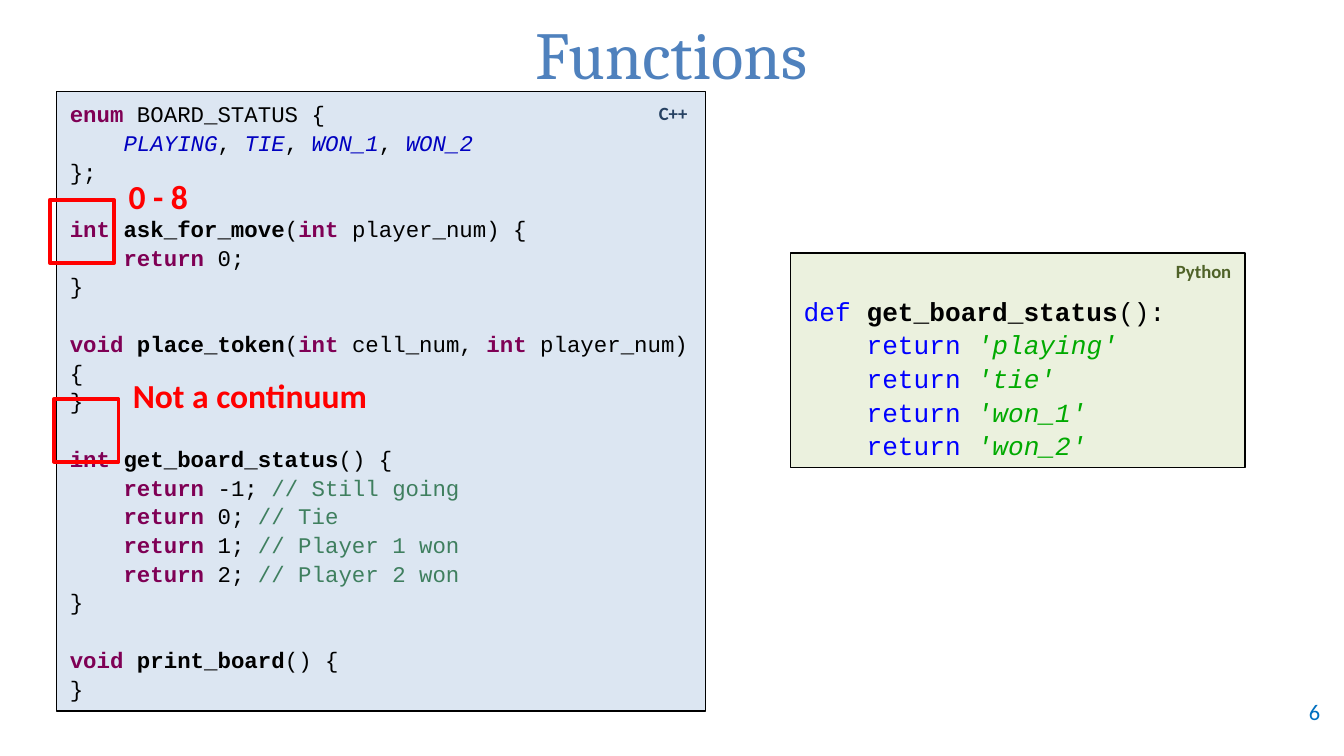
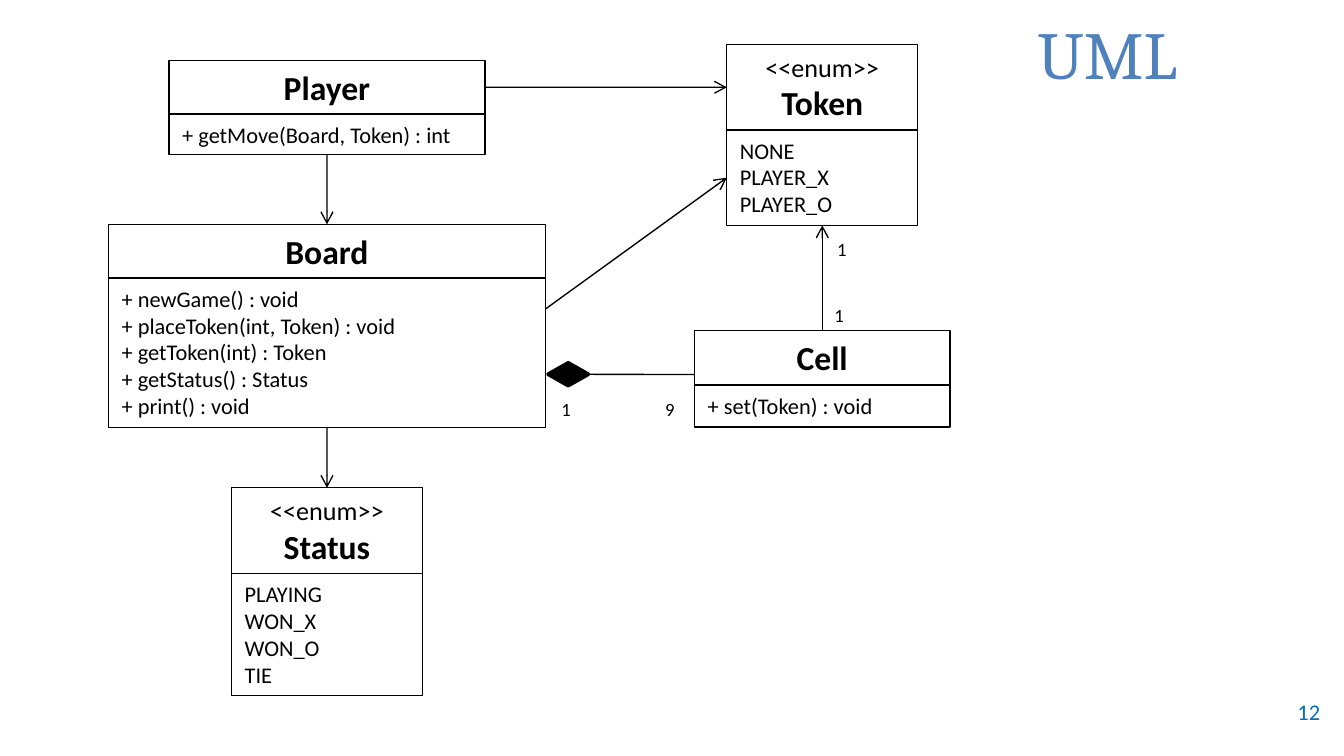
import pptx
import pptx.util
import pptx.dml.color
import pptx.enum.shapes
import pptx.enum.text
import pptx.oxml
import pptx.oxml.ns
from pptx.util import Cm

SHAPE = pptx.enum.shapes.MSO_SHAPE
ALIGN = pptx.enum.text.PP_ALIGN
ANCHOR = pptx.enum.text.MSO_ANCHOR
TOP, LEFT, BOTTOM, RIGHT = range(4)

COLORS = {
    "title": "4F81BD", "number": "0070C0", "black": "000000", "red": "FF0000",
    "cpp_fill": "DCE6F2", "cpp_tag": "254061",
    "python_fill": "EBF1DE", "python_tag": "4F6228",
    "keyword": "7F0055", "constant": "0000C0", "comment": "3F7F5F",
    "py_keyword": "0000FF", "string": "00AA00",
}

STYLES = {
    "plain": ("black", False, False),
    "name": ("black", True, False),
    "keyword": ("keyword", True, False),
    "constant": ("constant", False, True),
    "comment": ("comment", False, False),
    "py_keyword": ("py_keyword", False, False),
    "string": ("string", False, True),
}


def rgb(name):
    return pptx.dml.color.RGBColor.from_string(COLORS[name])


def set_font(font, size, color, bold=False, name="Calibri"):
    font.name = name
    font.size = pptx.util.Pt(size)
    font.bold = bold
    font.color.rgb = rgb(color)


def add_label(s, box, text, size, color, bold=False, align=ALIGN.LEFT):
    tf = s.shapes.add_textbox(*map(Cm, box)).text_frame
    tf.word_wrap = True
    p = tf.paragraphs[0]
    p.text = text
    p.alignment = align
    set_font(p.font, size, color, bold)
    return tf


def add_box(s, box, fill=None, line="black", width=0.75, kind=SHAPE.RECTANGLE):
    sp = s.shapes.add_shape(kind, *map(Cm, box))
    sp.shadow.inherit = False
    if fill:
        sp.fill.solid()
        sp.fill.fore_color.rgb = rgb(fill)
    else:
        sp.fill.background()
    sp.line.color.rgb = rgb(line)
    sp.line.width = pptx.util.Pt(width)
    sp.text_frame.word_wrap = True
    sp.text_frame.vertical_anchor = ANCHOR.TOP
    return sp


def add_slide(prs, title, box, number):
    s = prs.slides.add_slide(prs.slide_layouts[5])
    sp = s.shapes.title
    sp.left, sp.top, sp.width, sp.height = map(Cm, box)
    sp.text_frame.text = title
    sp.text_frame.vertical_anchor = ANCHOR.MIDDLE
    p = sp.text_frame.paragraphs[0]
    p.alignment = ALIGN.CENTER
    set_font(p.font, 36, "title", name="Cambria")
    tf = add_label(s, (23.5, 13.08, 1.7, 0.76), number, 12, "number", align=ALIGN.RIGHT)
    tf.vertical_anchor = ANCHOR.MIDDLE
    return s


def add_code(s, box, blocks, size, pitch, fill, inset=0.13):
    tf = add_box(s, box, fill).text_frame
    tf.margin_top = Cm(inset)
    p = None
    for block in blocks:
        for i, line in enumerate(block):
            first = p is None
            p = tf.paragraphs[0] if first else tf.add_paragraph()
            p.alignment = ALIGN.LEFT
            p.line_spacing = pptx.util.Pt(pitch)
            if i == 0 and not first:
                p.space_before = pptx.util.Pt(pitch)
            p.font.name = "Courier New"
            p.font.size = pptx.util.Pt(size)
            for style, text in line:
                color, bold, italic = STYLES[style]
                r = p.add_run()
                r.text = text
                r.font.bold = bold
                r.font.italic = italic
                r.font.color.rgb = rgb(color)


def add_callout(s, x, y, text, width):
    add_box(s, (x, y, 1.22, 1.19), line="red", width=2)
    add_label(s, (x + 1.24, y - 0.57, width, 1.02), text, 18, "red", True)


def statement(value, remark):
    return [("plain", "    "), ("keyword", "return"),
            ("plain", f" {value}; "), ("comment", f"// {remark}")]


def signature(kind, name, *rest):
    return [("keyword", kind + " "), ("name", name), *rest]


def cpp_panel(s, x, y, w, h):
    constants = [("plain", "    ")]
    for i, name in enumerate(["PLAYING", "TIE", "WON_1", "WON_2"]):
        if i:
            constants.append(("plain", ", "))
        constants.append(("constant", name))
    close = [("plain", "}")]
    int_type = ("keyword", "int ")
    player = ("plain", "player_num) {")
    outcomes = [(-1, "Still going"), (0, "Tie"), (1, "Player 1 won"), (2, "Player 2 won")]
    blocks = [
        [[("keyword", "enum"), ("plain", " BOARD_STATUS {")], constants, [("plain", "};")]],
        [signature("int", "ask_for_move", ("plain", "("), int_type, player),
         [("plain", "    "), ("keyword", "return"), ("plain", " 0;")], close],
        [signature("void", "place_token", ("plain", "("), int_type,
                   ("plain", "cell_num, "), int_type, player), close],
        [signature("int", "get_board_status", ("plain", "() {")),
         *[statement(*outcome) for outcome in outcomes], close],
        [signature("void", "print_board", ("plain", "() {")), close],
    ]
    add_code(s, (x, y, w, h), blocks, 12, 15.4, "cpp_fill")
    add_callout(s, x - 0.13, y + 2.05, "0 - 8", 2.11)
    add_callout(s, x - 0.05, y + 5.81, "Not a continuum", 5.94)
    add_label(s, (x + w - 2.08, y + 0.07, 1.98, 0.69), "C++", 10, "cpp_tag", True, ALIGN.RIGHT)


def python_panel(s, x, y, w, h):
    lines = [[("py_keyword", "def "), ("name", "get_board_status"), ("plain", "():")]]
    for value in ["playing", "tie", "won_1", "won_2"]:
        lines.append([("plain", "    "), ("py_keyword", "return "), ("string", f"'{value}'")])
    add_code(s, (x, y, w, h), [lines], 14, 18, "python_fill", inset=0.76)
    add_label(s, (x + w - 2.6, y, 2.59, 0.69), "Python", 10, "python_tag", True, ALIGN.RIGHT)


def add_class(s, cx, y, w, name, members, head_h, body_h, enum=False):
    x = cx - w / 2
    head = add_box(s, (x, y, w, head_h))
    body = add_box(s, (x, y + head_h, w, body_h))
    rows = [(name, 18, True)]
    if enum:
        rows.insert(0, ("<<enum>>", 14, False))
    fill_rows(head.text_frame, rows, ALIGN.CENTER)
    fill_rows(body.text_frame, [(m, 12, False) for m in members], ALIGN.LEFT)
    return head, body


def fill_rows(tf, rows, align):
    for i, (text, size, bold) in enumerate(rows):
        p = tf.add_paragraph() if i else tf.paragraphs[0]
        p.text = text
        p.alignment = align
        set_font(p.font, size, "black", bold)


def add_link(s, begin=None, end=None, start=(0, 0), stop=(0, 0), arrow=True):
    cn = s.shapes.add_connector(pptx.enum.shapes.MSO_CONNECTOR.STRAIGHT,
                                *map(Cm, start + stop))
    if begin:
        cn.begin_connect(*begin)
    if end:
        cn.end_connect(*end)
    cn.line.color.rgb = rgb("black")
    cn.line.width = pptx.util.Pt(0.75)
    if arrow:
        tail = pptx.oxml.parse_xml(
            f'<a:tailEnd {pptx.oxml.ns.nsdecls("a")} type="arrow"/>')
        cn.line._get_or_add_ln().append(tail)
    effects = pptx.oxml.parse_xml(f'<a:effectLst {pptx.oxml.ns.nsdecls("a")}/>')
    cn._element.spPr.append(effects)


def class_diagram(s, x, y):
    left, right = x + 4.12, x + 13.48
    board_head, board = add_class(
        s, left, y + 3.4, 8.26, "Board",
        ["+ newGame() : void", "+ placeToken(int, Token) : void",
         "+ getToken(int) : Token", "+ getStatus() : Status", "+ print() : void"],
        1.02, 2.82)
    player_head, player = add_class(s, left, y + 0.3, 5.97, "Player",
                                    ["+ getMove(Board, Token) : int"], 1.02, 0.76)
    token_head, token = add_class(s, right, y, 3.61, "Token",
                                  ["NONE", "PLAYER_X", "PLAYER_O"], 1.62, 1.8, True)
    cell_head, _ = add_class(s, right, y + 5.41, 4.83, "Cell",
                             ["+ set(Token) : void"], 1.03, 0.79)
    status_head, _ = add_class(s, left, y + 8.38, 3.61, "Status",
                               ["PLAYING", "WON_X", "WON_O", "TIE"], 1.62, 2.31, True)
    diamond = add_box(s, (x + 8.3, y + 6.02, 0.76, 0.43), "black", width=2,
                      kind=SHAPE.FLOWCHART_DECISION)
    add_link(s, (player, BOTTOM), (board_head, TOP))
    add_link(s, (player_head, RIGHT), (token_head, LEFT))
    add_link(s, (cell_head, TOP), (token, BOTTOM))
    add_link(s, (board, BOTTOM), (status_head, TOP))
    add_link(s, end=(token, LEFT), start=(x + 8.25, y + 5))
    add_link(s, begin=(diamond, RIGHT), stop=(right - 2.42, y + 6.24), arrow=False)
    for dx, dy, count in [(13.51, 3.53, "1"), (13.46, 4.77, "1"),
                          (8.3, 6.55, "1"), (10.26, 6.55, "9")]:
        add_label(s, (x + dx, y + dy, 1.07, 0.69), count, 10, "black")


def main():
    prs = pptx.Presentation()
    prs.slide_width, prs.slide_height = Cm(25.4), Cm(14.29)
    s = add_slide(prs, "Functions", (0.2, 0.15, 24.97, 1.7), "6")
    cpp_panel(s, 1.07, 1.73, 12.27, 11.71)
    python_panel(s, 14.94, 4.78, 8.59, 4.06)
    s = add_slide(prs, "UML", (16.69, 0.15, 8.48, 1.7), "12")
    class_diagram(s, 2.06, 0.84)
    prs.save("out.pptx")


if __name__ == "__main__":
    main()
